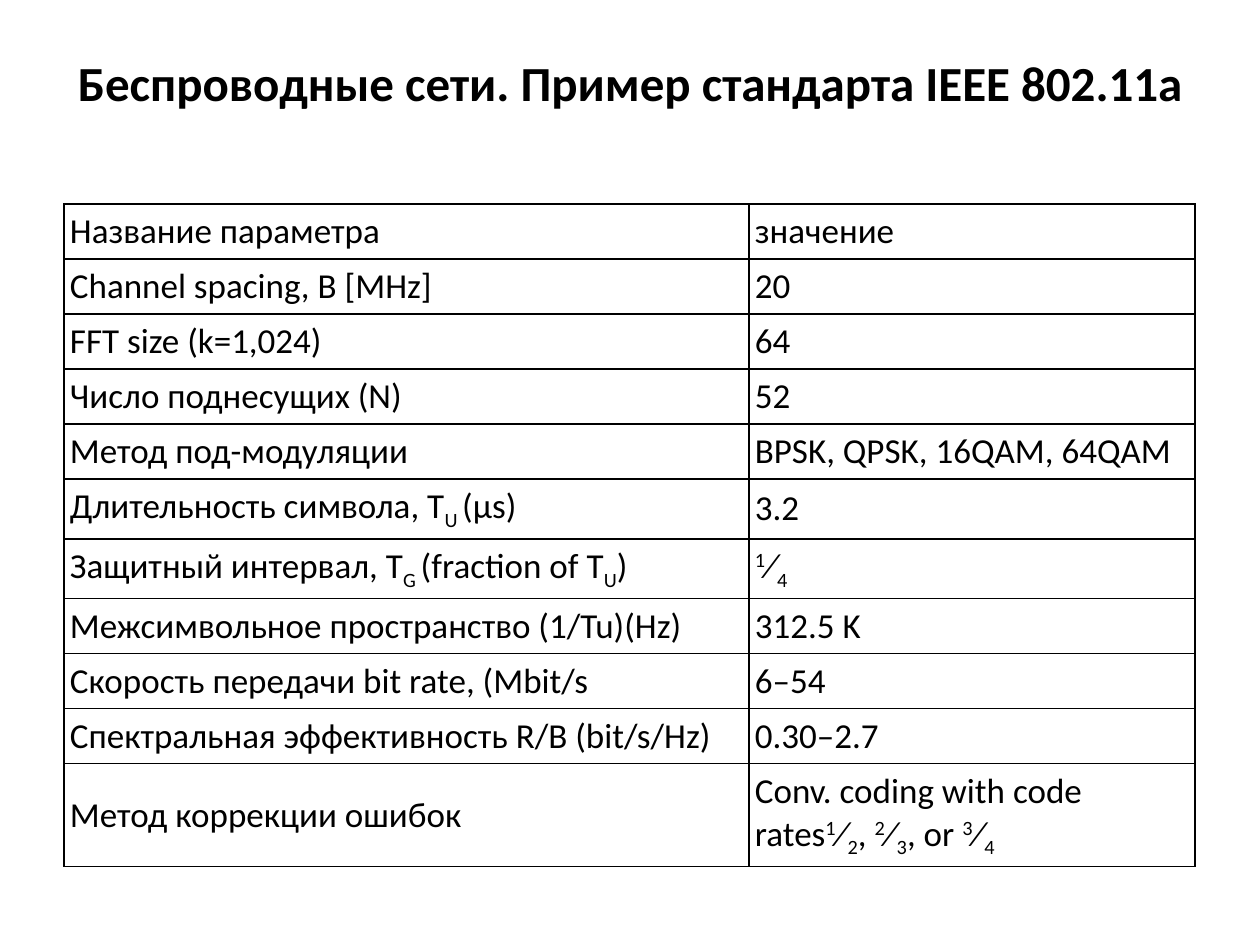
from dataclasses import dataclass

from lxml.etree import SubElement
from pptx import Presentation
from pptx.dml.color import RGBColor
from pptx.enum.text import MSO_ANCHOR, PP_ALIGN
from pptx.oxml.ns import qn
from pptx.util import Emu, Pt

EMU_PER_PX = 914400 / 126


@dataclass(frozen=True)
class Theme:
    font: str = "Calibri"
    ink: str = "000000"
    title_size: int = 28
    table_size: int = 20
    border_width: int = 1
    cell_margin: int = 6


THEME = Theme()
TITLE = "Беспроводные сети. Пример стандарта IEEE 802.11a"
COLUMN_WIDTHS = (685, 446)
ROW_HEIGHT, INDEXED_ROW_HEIGHT, TWO_LINE_ROW_HEIGHT = 55, 60, 103
ROW_HEIGHTS = ([ROW_HEIGHT] * 5 + [INDEXED_ROW_HEIGHT] * 2
               + [ROW_HEIGHT] * 3 + [TWO_LINE_ROW_HEIGHT])


def px(length):
    return Emu(round(length * EMU_PER_PX))


def sub(text):
    return text, -25


def fraction(numerator, denominator):
    return [(numerator, 30), "⁄", sub(denominator)]


PARAMETERS = [
    (["Название параметра"], ["значение"]),
    (["Channel spacing, B [MHz]"], ["20"]),
    (["FFT size (k=1,024)"], ["64"]),
    (["Число поднесущих (N)"], ["52"]),
    (["Метод под-модуляции"], ["BPSK, QPSK, 16QAM, 64QAM"]),
    (["Длительность символа, T", sub("U "), "(μs)"], ["3.2"]),
    (["Защитный интервал, T", sub("G "), "(fraction of T", sub("U"), ")"],
     fraction("1", "4")),
    (["Межсимвольное пространство (1/Tu)(Hz)"], ["312.5 K"]),
    (["Скорость передачи bit rate, (Mbit/s"], ["6–54"]),
    (["Спектральная эффективность R/B (bit/s/Hz)"], ["0.30–2.7"]),
    (["Метод коррекции ошибок"],
     ["Conv. coding with code rates", *fraction("1", "2"), ", ",
      *fraction("2", "3"), ", or ", *fraction("3", "4")]),
]


def add_run(paragraph, content, size, bold=False):
    """Add plain text, or a (text, baseline percent) pair, as one run."""
    text, baseline = (content, 0) if isinstance(content, str) else content
    run = paragraph.add_run()
    run.text = text
    font = run.font
    font.name, font.size, font.bold = THEME.font, Pt(size), bold
    font.color.rgb = RGBColor.from_string(THEME.ink)
    if baseline:
        run._r.get_or_add_rPr().set("baseline", str(baseline * 1000))


def add_title(slide):
    title = slide.shapes.title
    title.left, title.top, title.width, title.height = map(px, (63, 27, 1134, 109))
    title.text_frame.vertical_anchor = MSO_ANCHOR.MIDDLE
    paragraph = title.text_frame.paragraphs[0]
    paragraph.alignment = PP_ALIGN.CENTER
    add_run(paragraph, TITLE, THEME.title_size, bold=True)


def add_borders(cell):
    properties = cell._tc.get_or_add_tcPr()
    for side in ("lnL", "lnR", "lnT", "lnB"):
        line = SubElement(properties, qn(f"a:{side}"), w=str(Pt(THEME.border_width)))
        fill = SubElement(line, qn("a:solidFill"))
        SubElement(fill, qn("a:srgbClr"), val=THEME.ink)


def fill_cell(cell, runs):
    add_borders(cell)
    cell.fill.background()
    cell.vertical_anchor = MSO_ANCHOR.MIDDLE
    margin = px(THEME.cell_margin)
    cell.margin_left = cell.margin_right = margin
    cell.margin_top = cell.margin_bottom = margin
    for content in runs:
        add_run(cell.text_frame.paragraphs[0], content, THEME.table_size)


def add_parameter_table(slide):
    table = slide.shapes.add_table(
        len(PARAMETERS), len(COLUMN_WIDTHS), px(64), px(204),
        px(sum(COLUMN_WIDTHS)), px(sum(ROW_HEIGHTS))).table
    table.first_row = table.horz_banding = False
    for column, width in zip(table.columns, COLUMN_WIDTHS):
        column.width = px(width)
    for row, height, parameter in zip(table.rows, ROW_HEIGHTS, PARAMETERS):
        row.height = px(height)
        for cell, runs in zip(row.cells, parameter):
            fill_cell(cell, runs)


def main():
    presentation = Presentation()
    presentation.slide_width, presentation.slide_height = px(1260), px(945)
    slide = presentation.slides.add_slide(presentation.slide_layouts[5])
    add_title(slide)
    add_parameter_table(slide)
    presentation.save("out.pptx")


if __name__ == "__main__":
    main()
